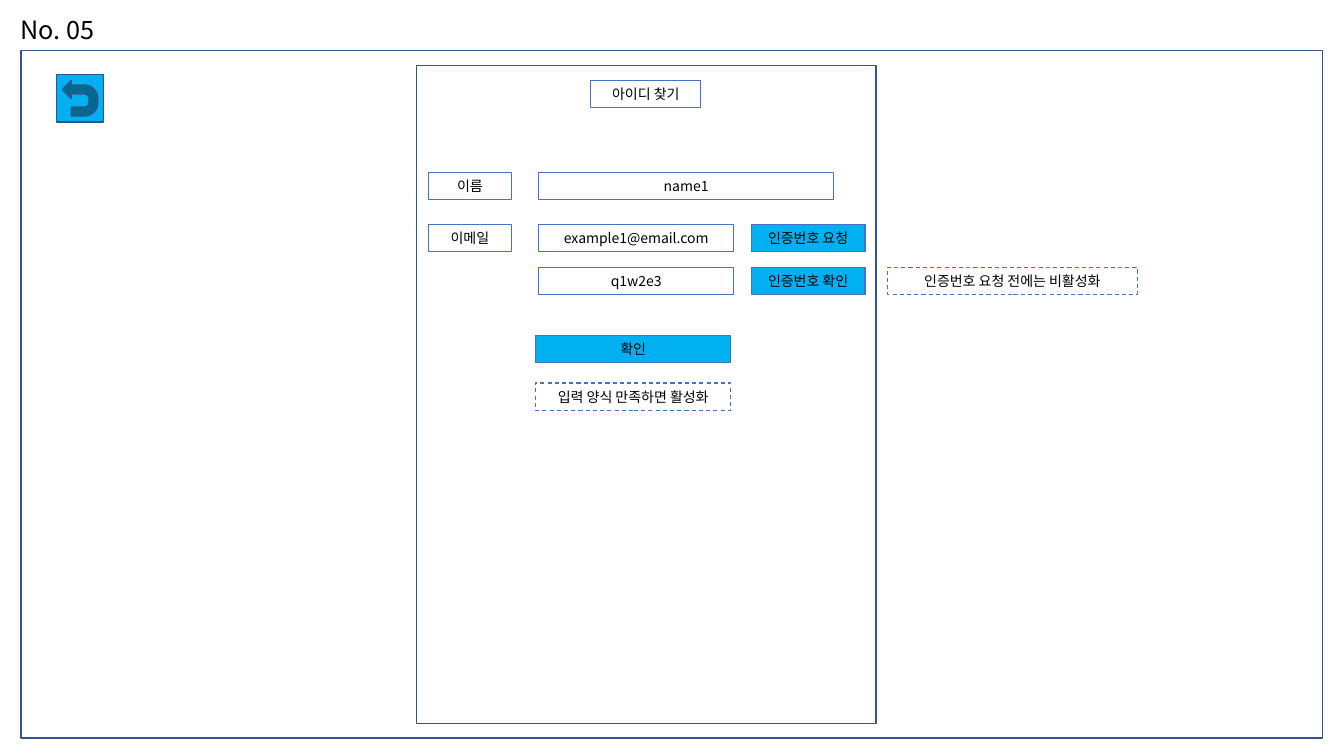
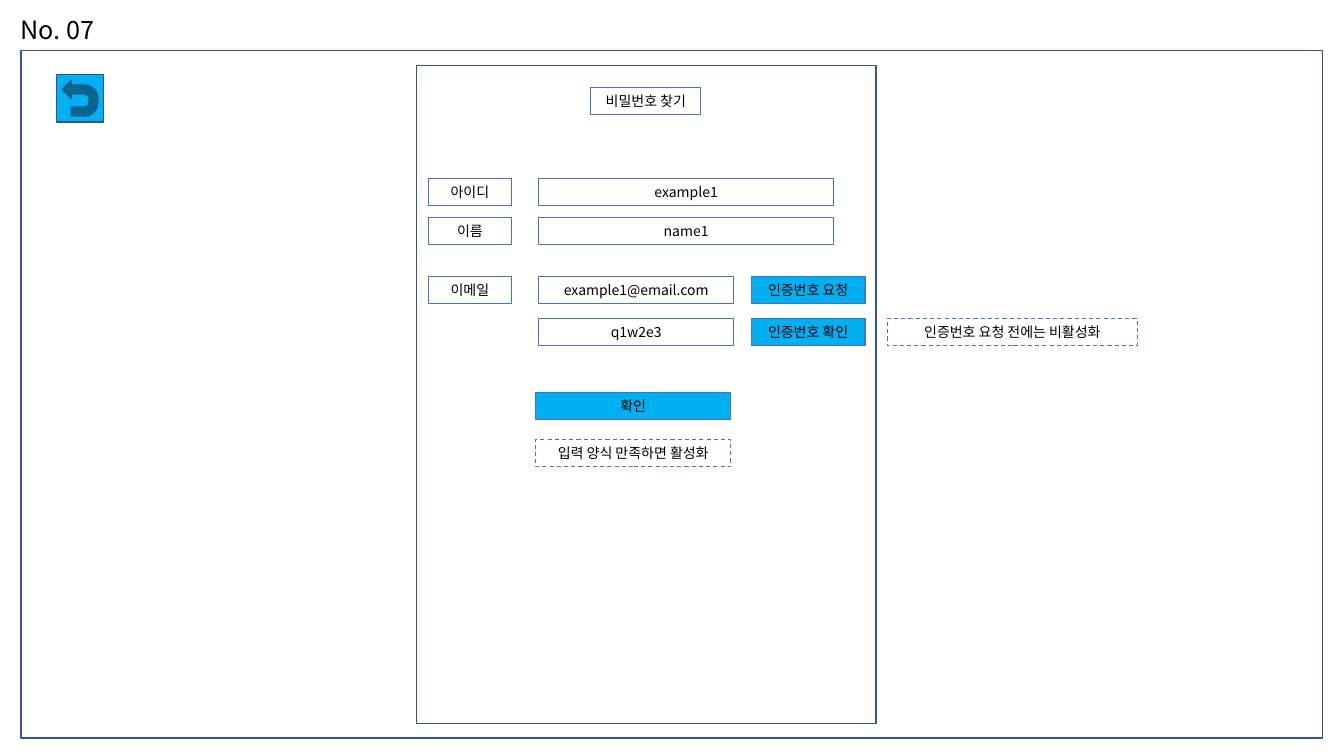
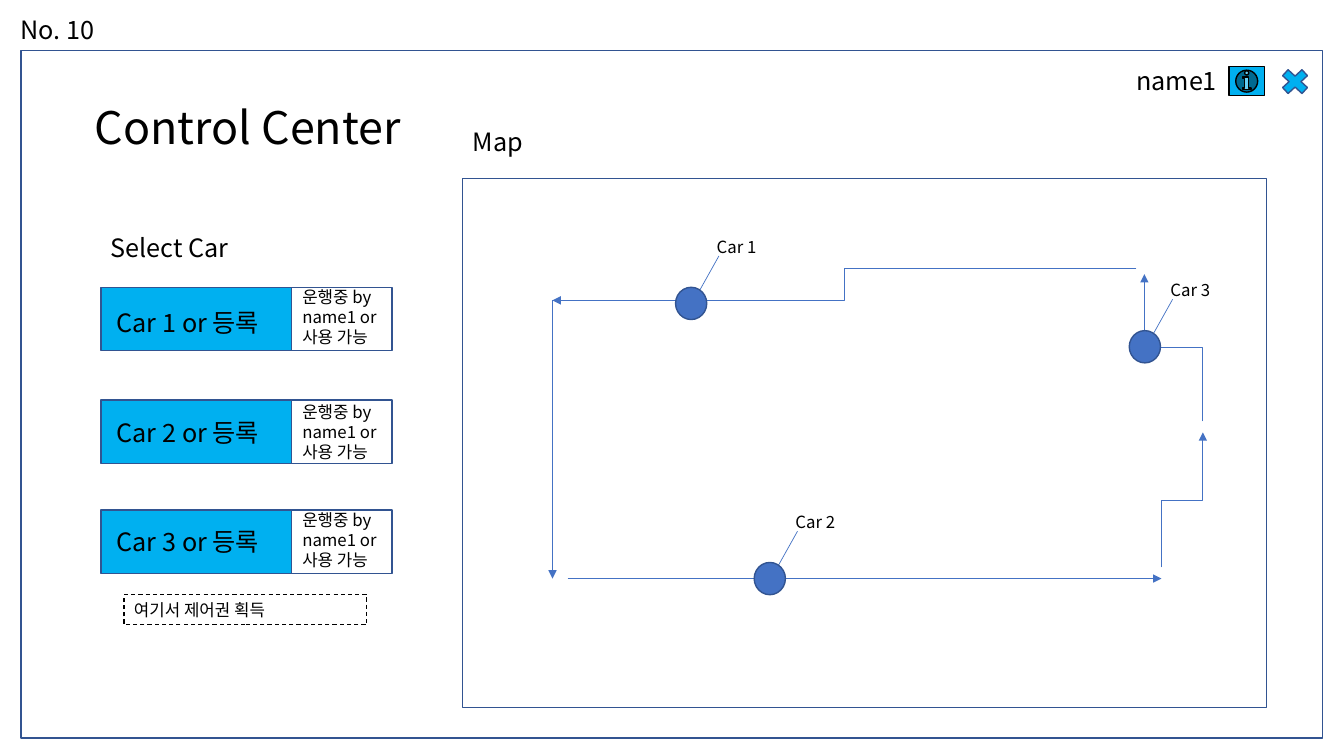
import pptx
import pptx.dml.color
import pptx.enum.dml
import pptx.enum.shapes
import pptx.enum.text
import pptx.oxml.ns
import pptx.util
import lxml.etree

FONT = "Noto Sans CJK KR"
BLACK, SKY, BLUE, NAVY = "000000", "00B0F0", "4472C4", "325491"
SHAPES = pptx.enum.shapes.MSO_SHAPE
ALIGN = pptx.enum.text.PP_ALIGN
color = pptx.dml.color.RGBColor.from_string

deck = pptx.Presentation()
deck.slide_width = pptx.util.Inches(13.33)
deck.slide_height = pptx.util.Inches(7.5)
column = deck.slide_width // 1333
row = deck.slide_height // 750


def write(shape, text, size, align=ALIGN.LEFT):
    frame = shape.text_frame
    frame.text = text
    frame.word_wrap = True
    frame.auto_size = pptx.enum.text.MSO_AUTO_SIZE.NONE
    frame.vertical_anchor = pptx.enum.text.MSO_ANCHOR.MIDDLE
    para = frame.paragraphs[0]
    para.alignment = align
    for span in para.runs:
        span.font.size = pptx.util.Pt(size)
        span.font.name = FONT
        span.font.color.rgb = color(BLACK)
        east_asian = lxml.etree.SubElement(span.font._element, pptx.oxml.ns.qn("a:ea"))
        east_asian.set("typeface", FONT)


def box(page, left, top, width, height, preset=SHAPES.RECTANGLE, fill=None,
        line=NAVY, weight=1, dashed=False, text="", size=10, align=ALIGN.CENTER):
    place = (left * column, top * row, width * column, height * row)
    if preset is None:
        shape = page.shapes.add_textbox(*place)
    else:
        shape = page.shapes.add_shape(preset, *place)
        shape.shadow.inherit = False
        shape.line.color.rgb = color(line)
        shape.line.width = pptx.util.Pt(weight)
        if dashed:
            shape.line.dash_style = pptx.enum.dml.MSO_LINE.DASH
        if fill:
            shape.fill.solid()
            shape.fill.fore_color.rgb = color(fill)
        else:
            shape.fill.background()
    if text:
        write(shape, text, size, align)
    return shape


pages = []
for number in ("No. 05", "No. 07", "No. 10"):
    page = deck.slides.add_slide(deck.slide_layouts[5])
    title = page.shapes.title
    title.left, title.top = 10 * column, 9 * row
    title.width, title.height = 113 * column, 40 * row
    write(title, number, 18)
    box(page, 21, 50, 1291, 682)
    pages.append(page)

forms = [
    ("아이디 찾기", 80, [("이름", "name1", 171)], 223, 333),
    ("비밀번호 찾기", 87, [("아이디", "example1", 177), ("이름", "name1", 216)], 274, 389),
]
for page, (heading, heading_top, fields, email_top, confirm_top) in zip(pages, forms):
    box(page, 413, 65, 456, 653)
    code_top = email_top + 42
    cells = [
        (586, heading_top, 109, heading, None, False),
        (425, email_top, 82, "이메일", None, False),
        (534, email_top, 194, "example1@email.com", None, False),
        (745, email_top, 113, "인증번호 요청", SKY, False),
        (534, code_top, 194, "q1w2e3", None, False),
        (745, code_top, 113, "인증번호 확인", SKY, False),
        (880, code_top, 248, "인증번호 요청 전에는 비활성화", None, True),
        (531, confirm_top, 194, "확인", SKY, False),
        (531, confirm_top + 47, 194, "입력 양식 만족하면 활성화", None, True),
    ]
    for label, value, top in fields:
        cells.append((425, top, 82, label, None, False))
        cells.append((534, top, 293, value, None, False))
    for left, top, width, text, fill, dashed in cells:
        box(page, left, top, width, 27, fill=fill, line=BLUE, weight=0.75,
            dashed=dashed, text=text)
    back_button = box(page, 56, 74, 47, 47, SHAPES.ACTION_BUTTON_RETURN, SKY)
    back_button.rotation = 270

page = pages[2]
for left, top, width, height, text, size in [
    (84, 94, 352, 64, "Control Center", 32),
    (100, 226, 157, 40, "Select Car", 18),
    (459, 120, 157, 40, "Map", 18),
    (1117, 60, 102, 40, "name1", 18),
]:
    box(page, left, top, width, height, None, text=text, size=size, align=ALIGN.LEFT)
box(page, 1219, 66, 35, 29, SHAPES.ACTION_BUTTON_INFORMATION, SKY, BLACK)
box(page, 1266, 64, 37, 34, SHAPES.MATH_MULTIPLY, SKY)

for car, (top, name_top, status_top) in enumerate(
        [(285, 300, 279), (397, 409, 393), (506, 517, 500)], 1):
    box(page, 100, top, 189, 63, fill=SKY)
    box(page, 289, top, 100, 63)
    box(page, 106, name_top, 177, 40, None, text=f"Car {car} or 등록",
        size=18, align=ALIGN.LEFT)
    box(page, 290, status_top, 96, 71, None, text="운행중 by name1 or 사용 가능",
        size=12, align=ALIGN.LEFT)
box(page, 123, 590, 241, 30, line=BLACK, weight=0.75, dashed=True,
    text="여기서 제어권 획득", size=12, align=ALIGN.LEFT)

box(page, 459, 177, 797, 525)
cars = [(670, 285), (748, 558), (1120, 328)]
STRAIGHT = pptx.enum.shapes.MSO_CONNECTOR.STRAIGHT
ELBOW = pptx.enum.shapes.MSO_CONNECTOR.ELBOW
lines = [
    (ELBOW, 1127, 266, 548, 298, False, True),
    (STRAIGHT, 548, 298, 548, 574, False, True),
    (STRAIGHT, 563, 574, 1152, 574, False, True),
    (ELBOW, 1152, 563, 1193, 429, True, True),
    (ELBOW, 1193, 418, 1135, 272, True, True),
]
for left, top in cars:
    lines.append((STRAIGHT, left + 43, top - 31, left + 24, top + 3, False, False))
for kind, start_x, start_y, end_x, end_y, upward, arrow in lines:
    if upward:
        middle_x, middle_y = (start_x + end_x) / 2, (start_y + end_y) / 2
        half_run, half_shift = (start_y - end_y) / 2, (end_x - start_x) / 2
        start_x, end_x = middle_x - half_run, middle_x + half_run
        start_y, end_y = middle_y - half_shift, middle_y + half_shift
    connector = page.shapes.add_connector(
        kind, int(start_x * column), int(start_y * row),
        int(end_x * column), int(end_y * row))
    connector.line.color.rgb = color(BLUE)
    connector.line.width = pptx.util.Pt(0.5)
    properties = connector._element.spPr
    if upward:
        properties.find(pptx.oxml.ns.qn("a:xfrm")).set("rot", str(270 * 60000))
    if arrow:
        tail = lxml.etree.SubElement(connector.line._get_or_add_ln(),
                                     pptx.oxml.ns.qn("a:tailEnd"))
        tail.set("type", "triangle")
    lxml.etree.SubElement(properties, pptx.oxml.ns.qn("a:effectLst"))

for car, (left, top) in enumerate(cars, 1):
    box(page, left, top, 31, 32, SHAPES.OVAL, BLUE)
    box(page, left + 31, top - 55, 65, 30, None, text=f"Car {car}",
        size=12, align=ALIGN.LEFT)

deck.save("out.pptx")
